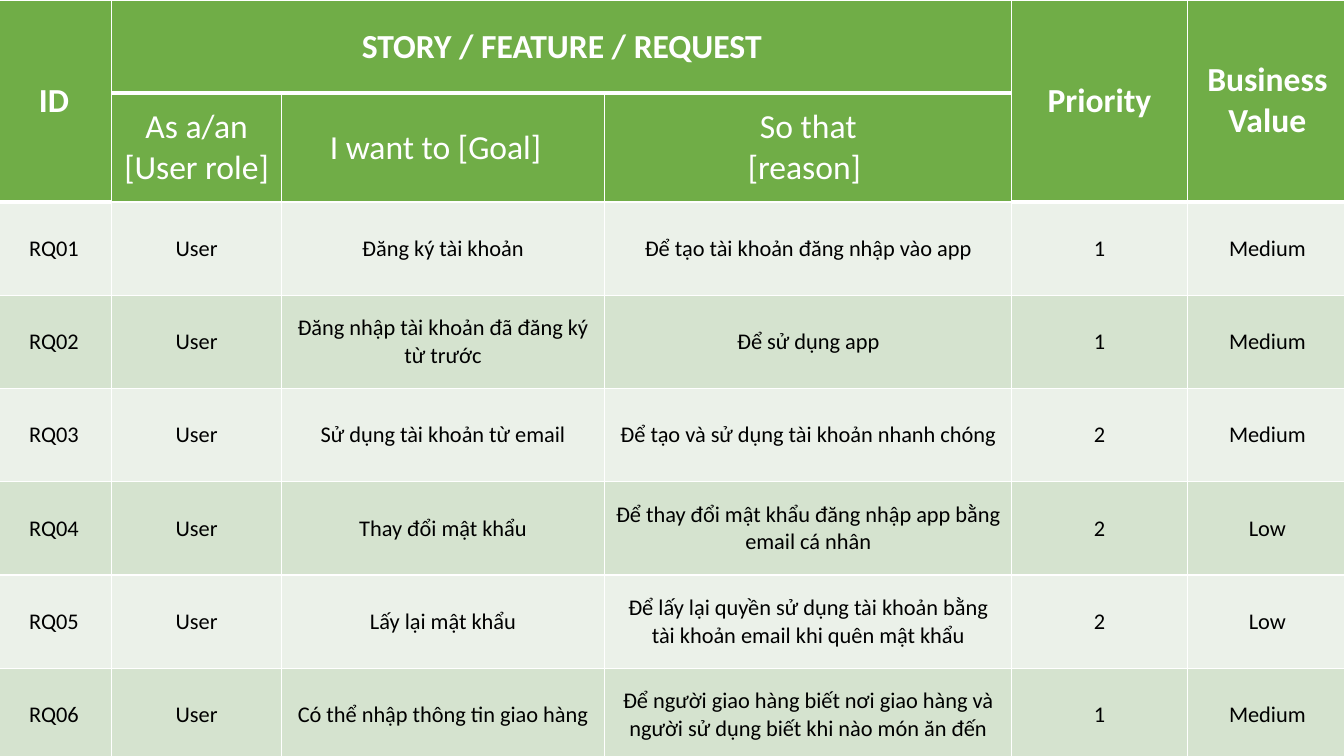
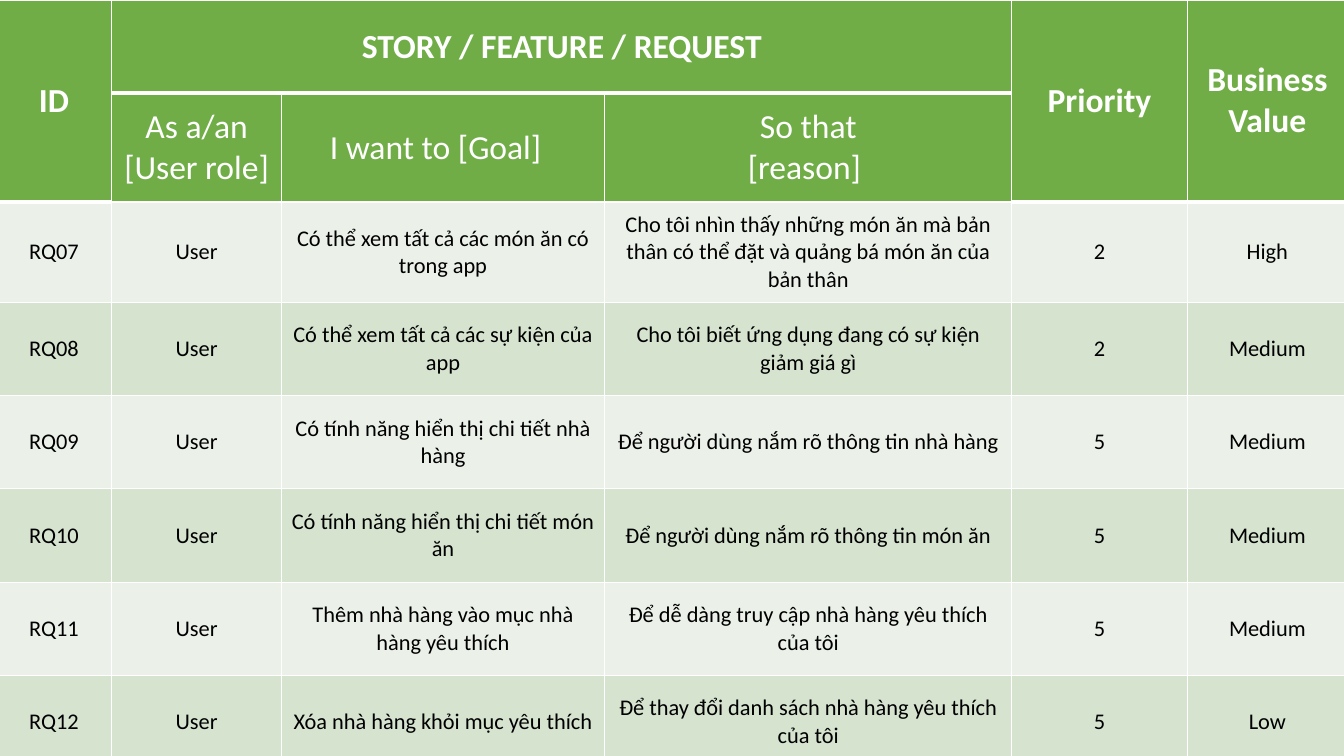
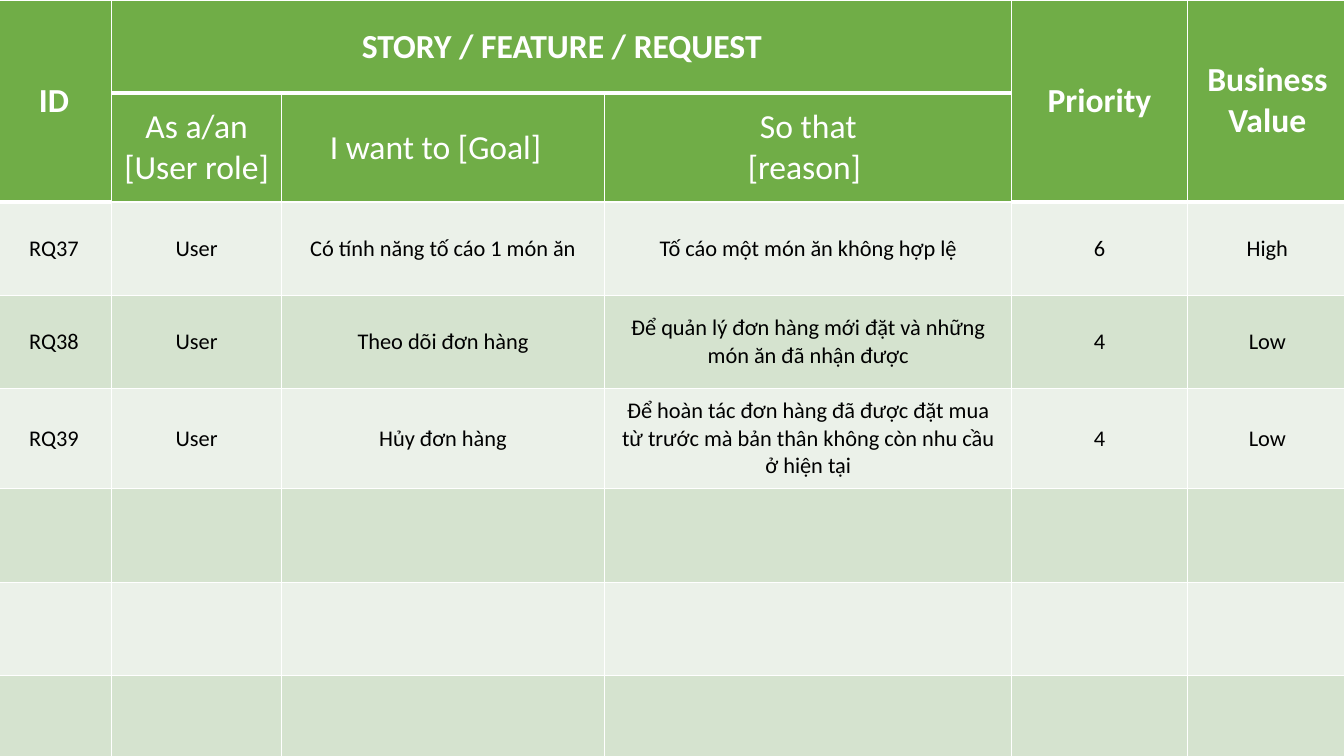
from lxml import etree
from pptx import Presentation
from pptx.dml.color import RGBColor
from pptx.enum.text import MSO_ANCHOR, PP_ALIGN
from pptx.oxml.ns import qn
from pptx.util import Cm, Pt

CENTER = PP_ALIGN.CENTER
MIDDLE = MSO_ANCHOR.MIDDLE
FONT = "Calibri"
WHITE = RGBColor(0xFF, 0xFF, 0xFF)
BLACK = RGBColor(0, 0, 0)
GREEN = RGBColor(0x70, 0xAD, 0x47)
BANDS = (RGBColor(0xEB, 0xF1, 0xE9), RGBColor(0xD5, 0xE3, 0xCF))

BLANK_LAYOUT = 6
COLUMN_WIDTHS = (2.92, 4.27, 8.15, 10.26, 4.42, 4.04)
ROW_HEIGHT, SUBHEAD_HEIGHT, TALL_HEIGHT = 2.35, 2.74, 2.53
HEADER_ROWS, STORY_ROWS = 2, 6
STORY_COLUMNS = (1, 2, 3)
GOAL_COLUMN = 2
THIN, THICK = Pt(1), Pt(3)

# Header texts by row and column, one entry per paragraph
HEADERS = {
    (0, 0): ["ID"],
    (0, 1): ["STORY / FEATURE / REQUEST"],
    (0, 4): ["Priority"],
    (0, 5): ["Business Value"],
    (1, 1): ["As a/an", "[User role]"],
    (1, 2): ["I want to [Goal]"],
    (1, 3): ["So that", "[reason] "],
}

# One entry per slide: first number, stories (goal, reason, priority, value),
# and the position of the story that needs a taller row
BACKLOG = [
    (1, [
        ("Đăng ký tài khoản", "Để tạo tài khoản đăng nhập vào app", "1", "Medium"),
        ("Đăng nhập tài khoản đã đăng ký từ trước", "Để sử dụng app", "1", "Medium"),
        ("Sử dụng tài khoản từ email", "Để tạo và sử dụng tài khoản nhanh chóng",
         "2", "Medium"),
        ("Thay đổi mật khẩu", "Để thay đổi mật khẩu đăng nhập app bằng email cá nhân",
         "2", "Low"),
        ("Lấy lại mật khẩu",
         "Để lấy lại quyền sử dụng tài khoản bằng tài khoản email khi quên mật khẩu",
         "2", "Low"),
        ("Có thể nhập thông tin giao hàng",
         "Để người giao hàng biết nơi giao hàng và người sử dụng biết khi nào món ăn đến",
         "1", "Medium"),
    ], None),
    (7, [
        ("Có thể xem tất cả các món ăn có trong app",
         "Cho tôi nhìn thấy những món ăn mà bản thân có thể đặt và quảng bá món ăn "
         "của bản thân", "2", "High"),
        ("Có thể xem tất cả các sự kiện của app",
         "Cho tôi biết ứng dụng đang có sự kiện giảm giá gì", "2", "Medium"),
        ("Có tính năng hiển thị chi tiết nhà hàng",
         "Để người dùng nắm rõ thông tin nhà hàng", "5", "Medium"),
        ("Có tính năng hiển thị chi tiết món ăn",
         "Để người dùng nắm rõ thông tin món ăn", "5", "Medium"),
        ("Thêm nhà hàng vào mục nhà hàng yêu thích",
         "Để dễ dàng truy cập nhà hàng yêu thích của tôi", "5", "Medium"),
        ("Xóa nhà hàng khỏi mục yêu thích",
         "Để thay đổi danh sách nhà hàng yêu thích của tôi", "5", "Low"),
    ], 0),
    (37, [
        ("Có tính năng tố cáo 1 món ăn", "Tố cáo một món ăn không hợp lệ", "6", "High"),
        ("Theo dõi đơn hàng",
         "Để quản lý đơn hàng mới đặt và những món ăn đã nhận được", "4", "Low"),
        ("Hủy đơn hàng",
         "Để hoàn tác đơn hàng đã được đặt mua từ trước mà bản thân không còn nhu cầu "
         "ở hiện tại", "4", "Low"),
    ], 2),
]


def write_cell(cell, lines, size, color, bold=False):
    """Write centred paragraphs into a cell."""
    cell.vertical_anchor = MIDDLE
    frame = cell.text_frame
    for index, line in enumerate(lines):
        para = frame.add_paragraph() if index else frame.paragraphs[0]
        para.alignment = CENTER
        span = para.add_run()
        span.text = line
        span.font.name = FONT
        span.font.size = Pt(size)
        span.font.bold = bold
        span.font.color.rgb = color


def set_borders(cell, top, bottom):
    """Draw white borders; they must come before the fill."""
    properties = cell._tc.get_or_add_tcPr()
    for side, width in (("L", THIN), ("R", THIN), ("T", top), ("B", bottom)):
        line = etree.SubElement(properties, qn(f"a:ln{side}"), w=str(width))
        fill = etree.SubElement(line, qn("a:solidFill"))
        etree.SubElement(fill, qn("a:srgbClr"), val=str(WHITE))


def rule_below(row, column):
    """Width of the line under a cell: thick where a bold heading ends."""
    heading_end = row == 0 or (row == 1 and column not in STORY_COLUMNS)
    return THICK if heading_end else THIN


def style_grid(table):
    for row_index, row in enumerate(table.rows):
        is_header = row_index < HEADER_ROWS
        for column, cell in enumerate(row.cells):
            top = rule_below(row_index - 1, column) if row_index else THIN
            set_borders(cell, top, rule_below(row_index, column))
            cell.fill.solid()
            cell.fill.fore_color.rgb = GREEN if is_header else BANDS[row_index % 2]


def fill_header(table):
    # Merged headings
    for column in (0, 4, 5):
        table.cell(0, column).merge(table.cell(1, column))
    table.cell(0, STORY_COLUMNS[0]).merge(table.cell(0, STORY_COLUMNS[-1]))
    # Heading texts
    for (row, column), lines in HEADERS.items():
        write_cell(table.cell(row, column), lines, 24, WHITE, bold=row == 0)
    table.cell(1, GOAL_COLUMN).margin_right = Cm(0.63)


def fill_stories(table, first_number, stories):
    for index, story in enumerate(stories):
        texts = (f"RQ{first_number + index:02d}", "User", *story)
        for column, text in enumerate(texts):
            write_cell(table.cell(HEADER_ROWS + index, column), [text], 16, BLACK)


def add_backlog_table(page, left, top, first_number, stories, tall_story):
    heights = [ROW_HEIGHT, SUBHEAD_HEIGHT] + [
        TALL_HEIGHT if index == tall_story else ROW_HEIGHT for index in range(STORY_ROWS)]
    table = page.shapes.add_table(
        len(heights), len(COLUMN_WIDTHS), Cm(left), Cm(top),
        Cm(sum(COLUMN_WIDTHS)), Cm(sum(heights))).table
    for column, width in zip(table.columns, COLUMN_WIDTHS):
        column.width = Cm(width)
    for row, height in zip(table.rows, heights):
        row.height = Cm(height)
    style_grid(table)
    fill_header(table)
    fill_stories(table, first_number, stories)


def main():
    deck = Presentation()
    deck.slide_width, deck.slide_height = Cm(33.87), Cm(19.05)
    for first_number, stories, tall_story in BACKLOG:
        page = deck.slides.add_slide(deck.slide_layouts[BLANK_LAYOUT])
        add_backlog_table(page, -0.1, 0, first_number, stories, tall_story)
    deck.save("out.pptx")


if __name__ == "__main__":
    main()
